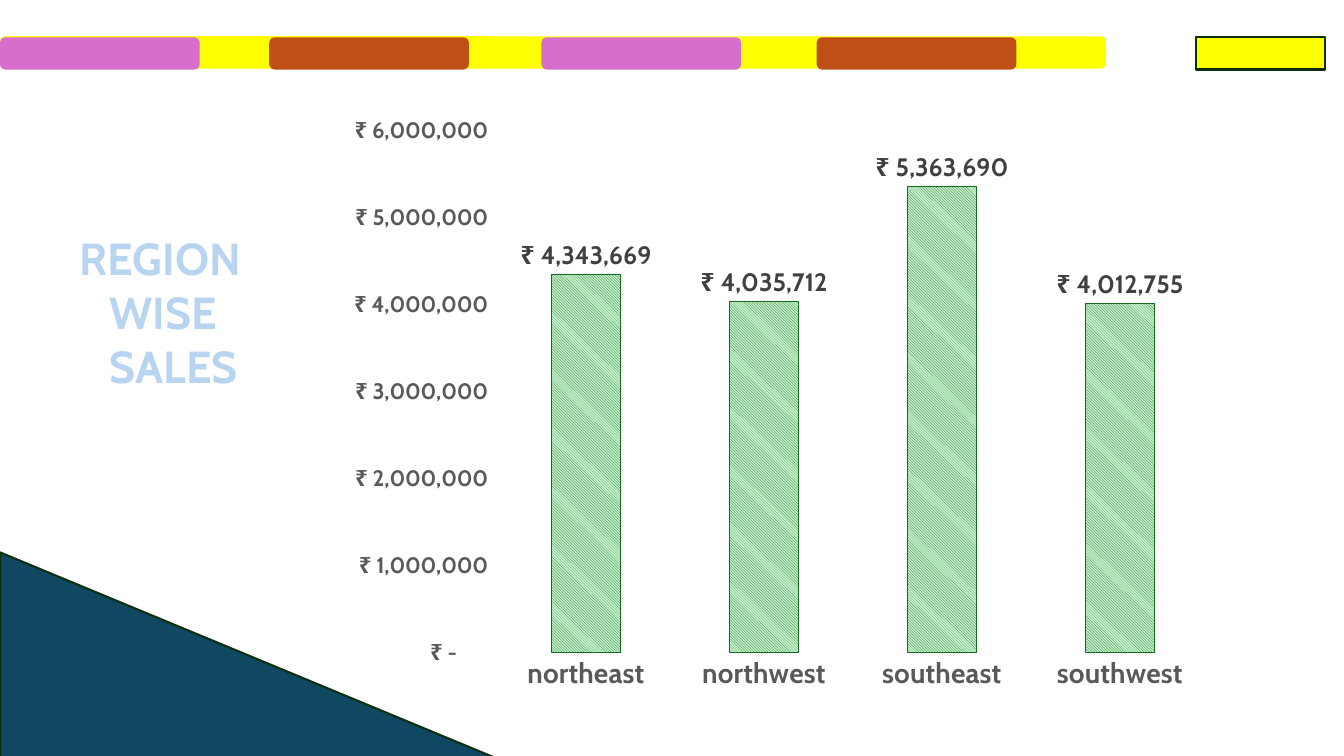
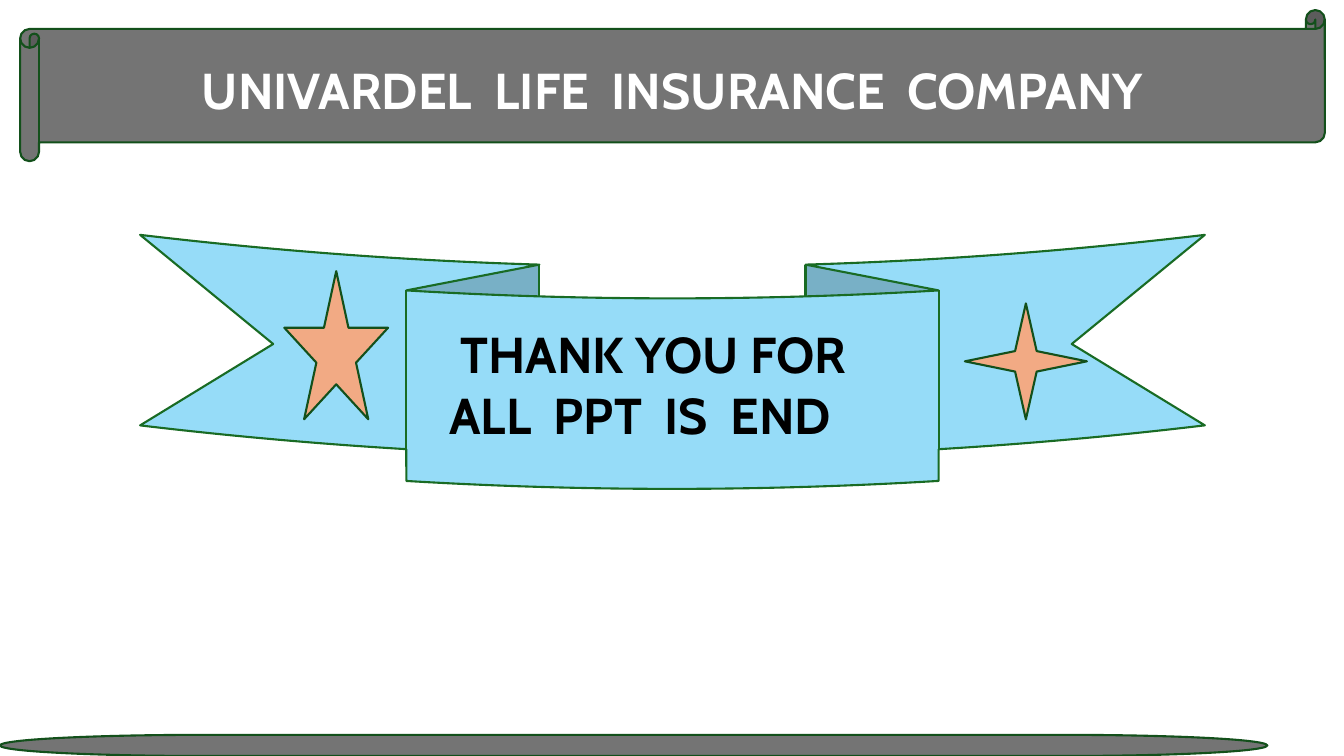
from dataclasses import dataclass

from lxml import etree
from pptx import Presentation
from pptx.chart.data import CategoryChartData
from pptx.dml.color import RGBColor
from pptx.enum.chart import XL_CHART_TYPE as ChartType
from pptx.enum.chart import XL_LABEL_POSITION as LabelPosition
from pptx.enum.chart import XL_TICK_MARK as TickMark
from pptx.enum.dml import MSO_PATTERN as Pattern
from pptx.enum.shapes import MSO_SHAPE as Shape
from pptx.enum.text import PP_ALIGN as Align
from pptx.oxml.ns import qn
from pptx.util import Inches, Pt


@dataclass(frozen=True)
class Theme:
    font: str = "Cabin"
    yellow: str = "FFFF00"
    pink: str = "D86ECC"
    rust: str = "C04F15"
    navy: str = "104862"
    dark_green: str = "0B2F10"
    mid_green: str = "13501B"
    green: str = "196B24"
    mint: str = "C2F1C8"
    sky: str = "96DCF8"
    peach: str = "F2AA84"
    gray: str = "747474"
    axis_gray: str = "595959"
    label_gray: str = "404040"
    pale_blue: str = "B8D4F0"
    white: str = "FFFFFF"
    black: str = "000000"
    banner_size: int = 36
    title_size: int = 32
    category_size: int = 20
    label_size: int = 18
    scale_size: int = 16


THEME = Theme()
RUPEES = '_ "₹"\\ * #,##0_ ;_ "₹"\\ * \\-#,##0_ ;_ "₹"\\ * "-"??_ ;_ @_ '
REGION_SALES = {
    "northeast": 4343669,
    "northwest": 4035712,
    "southeast": 5363690,
    "southwest": 4012755,
}


def rgb(color):
    return RGBColor.from_string(color)


def apply(target, values):
    for name, value in values.items():
        setattr(target, name, value)


def style_font(font, size, color):
    apply(font, {"name": THEME.font, "size": Pt(size), "bold": True})
    font.color.rgb = rgb(color)


def add_figure(page, kind, box, fill, line=None):
    figure = page.shapes.add_shape(kind, *map(Inches, box))
    figure.shadow.inherit = False
    figure.fill.solid()
    figure.fill.fore_color.rgb = rgb(fill)
    if line:
        figure.line.color.rgb = rgb(line)
        figure.line.width = Pt(1.5)
    else:
        figure.line.fill.background()
    return figure


def add_text(page, box, lines, size, color, align=Align.LEFT):
    """Each line is (text, left indent in inches, extra word gap in points)."""
    frame = page.shapes.add_textbox(*map(Inches, box)).text_frame
    frame.word_wrap = True
    for index, (text, indent, word_gap) in enumerate(lines):
        para = frame.paragraphs[0] if index == 0 else frame.add_paragraph()
        para.alignment = align
        if indent:
            para._p.get_or_add_pPr().set("marL", str(Inches(indent)))
        words = text.split(" ") if word_gap else [text]
        for position, word in enumerate(words):
            if position:
                space = para.add_run()
                space.text = " "
                style_font(space.font, size, color)
                space.font._element.set("spc", str(word_gap * 100))
            span = para.add_run()
            span.text = word
            style_font(span.font, size, color)


def set_plot_area(chart, chart_box, plot_box):
    left, top, width, height = chart_box
    fractions = {
        "x": (plot_box[0] - left) / width,
        "y": (plot_box[1] - top) / height,
        "w": plot_box[2] / width,
        "h": plot_box[3] / height,
    }
    plot_area = chart._chartSpace.chart.plotArea
    for old in plot_area.findall(qn("c:layout")):
        plot_area.remove(old)
    layout = etree.Element(qn("c:layout"))
    plot_area.insert(0, layout)
    manual = etree.SubElement(layout, qn("c:manualLayout"))
    settings = {"layoutTarget": "inner", "xMode": "edge", "yMode": "edge"}
    settings.update({name: f"{value:.4f}" for name, value in fractions.items()})
    for name, value in settings.items():
        etree.SubElement(manual, qn(f"c:{name}")).set("val", value)


def add_color_band(page, left, top):
    height = 0.32
    add_figure(page, Shape.ROUNDED_RECTANGLE,
               (left, top, 10.97, height), THEME.yellow)
    for index, offset in enumerate((0, 2.67, 5.37, 8.1)):
        color = (THEME.pink, THEME.rust)[index % 2]
        add_figure(page, Shape.ROUNDED_RECTANGLE,
                   (left + offset, top + 0.01, 1.98, height), color)
    add_figure(page, Shape.RECTANGLE,
               (left + 11.86, top + 0.01, 1.28, height),
               THEME.yellow, THEME.dark_green)


def add_sales_chart(page, box):
    data = CategoryChartData()
    data.categories = list(REGION_SALES)
    data.add_series("Series 1", list(REGION_SALES.values()))
    chart = page.shapes.add_chart(
        ChartType.COLUMN_CLUSTERED, *map(Inches, box), data).chart
    apply(chart, {"has_title": False, "has_legend": False})
    apply(chart.font, {"name": THEME.font, "size": Pt(10)})
    set_plot_area(chart, box, (box[0] + 1.65, box[1] + 0.25, 7.06, 5.17))

    # Axes
    apply(chart.value_axis, {
        "minimum_scale": 0, "maximum_scale": 6000000, "major_unit": 1000000})
    for axis, size in ((chart.category_axis, THEME.category_size),
                       (chart.value_axis, THEME.scale_size)):
        apply(axis, {"has_major_gridlines": False,
                     "major_tick_mark": TickMark.NONE,
                     "minor_tick_mark": TickMark.NONE})
        axis.format.line.fill.background()
        style_font(axis.tick_labels.font, size, THEME.axis_gray)

    # Columns and their labels
    plot = chart.plots[0]
    apply(plot, {"gap_width": 160, "vary_by_categories": False,
                 "has_data_labels": True})
    labels = plot.data_labels
    apply(labels, {"show_value": True, "position": LabelPosition.OUTSIDE_END})
    style_font(labels.font, THEME.label_size, THEME.label_gray)
    for numbers in (labels, chart.value_axis.tick_labels):
        apply(numbers, {"number_format": RUPEES,
                        "number_format_is_linked": False})
    look = plot.series[0].format
    look.fill.patterned()
    look.fill.pattern = Pattern.LIGHT_DOWNWARD_DIAGONAL
    look.fill.fore_color.rgb = rgb(THEME.green)
    look.fill.back_color.rgb = rgb(THEME.mint)
    look.line.color.rgb = rgb(THEME.green)
    look.line.width = Pt(0.75)


def add_thanks_ribbon(page, left, top):
    add_figure(page, Shape.CURVED_DOWN_RIBBON,
               (left, top, 10.56, 2.52), THEME.sky, THEME.green)
    add_text(page, (left + 2.97, top + 0.83, 4.61, 1.31),
             [("THANK YOU FOR", 0.11, 0), ("ALL PPT IS END", 0, 8)],
             THEME.banner_size, THEME.black)
    stars = ((Shape.STAR_5_POINT, (left + 1.43, top + 0.36, 1.03, 1.47)),
             (Shape.STAR_4_POINT, (left + 8.18, top + 0.68, 1.21, 1.15)))
    for kind, box in stars:
        add_figure(page, kind, box, THEME.peach, THEME.mid_green)


def add_title_scroll(page, left, top):
    add_figure(page, Shape.HORIZONTAL_SCROLL,
               (left, top, 12.94, 1.5), THEME.gray, THEME.mid_green)
    add_text(page, (left + 0.37, top + 0.44, 12.2, 0.71),
             [("UNIVARDEL LIFE INSURANCE COMPANY", 0, 8)],
             THEME.banner_size, THEME.white, Align.CENTER)


def build_sales_page(page):
    add_color_band(page, 0, 0.36)
    add_figure(page, Shape.RIGHT_TRIANGLE, (0, 5.48, 4.94, 2.05),
               THEME.navy, THEME.dark_green)
    add_sales_chart(page, (3.28, 1.05, 8.89, 5.93))
    add_text(page, (0.69, 2.24, 1.98, 1.72),
             [("REGION", 0, 0), ("WISE", 0.3, 0), ("SALES", 0.3, 0)],
             THEME.title_size, THEME.pale_blue)


def build_closing_page(page):
    add_thanks_ribbon(page, 1.39, 2.33)
    add_figure(page, Shape.FLOWCHART_TERMINATOR, (0, 7.29, 12.57, 0.21),
               THEME.gray, THEME.mid_green)
    add_title_scroll(page, 0.2, 0.1)


def main():
    deck = Presentation()
    apply(deck, {"slide_width": Inches(13.33), "slide_height": Inches(7.5)})
    for build in (build_sales_page, build_closing_page):
        build(deck.slides.add_slide(deck.slide_layouts[6]))
    deck.save("out.pptx")


if __name__ == "__main__":
    main()
